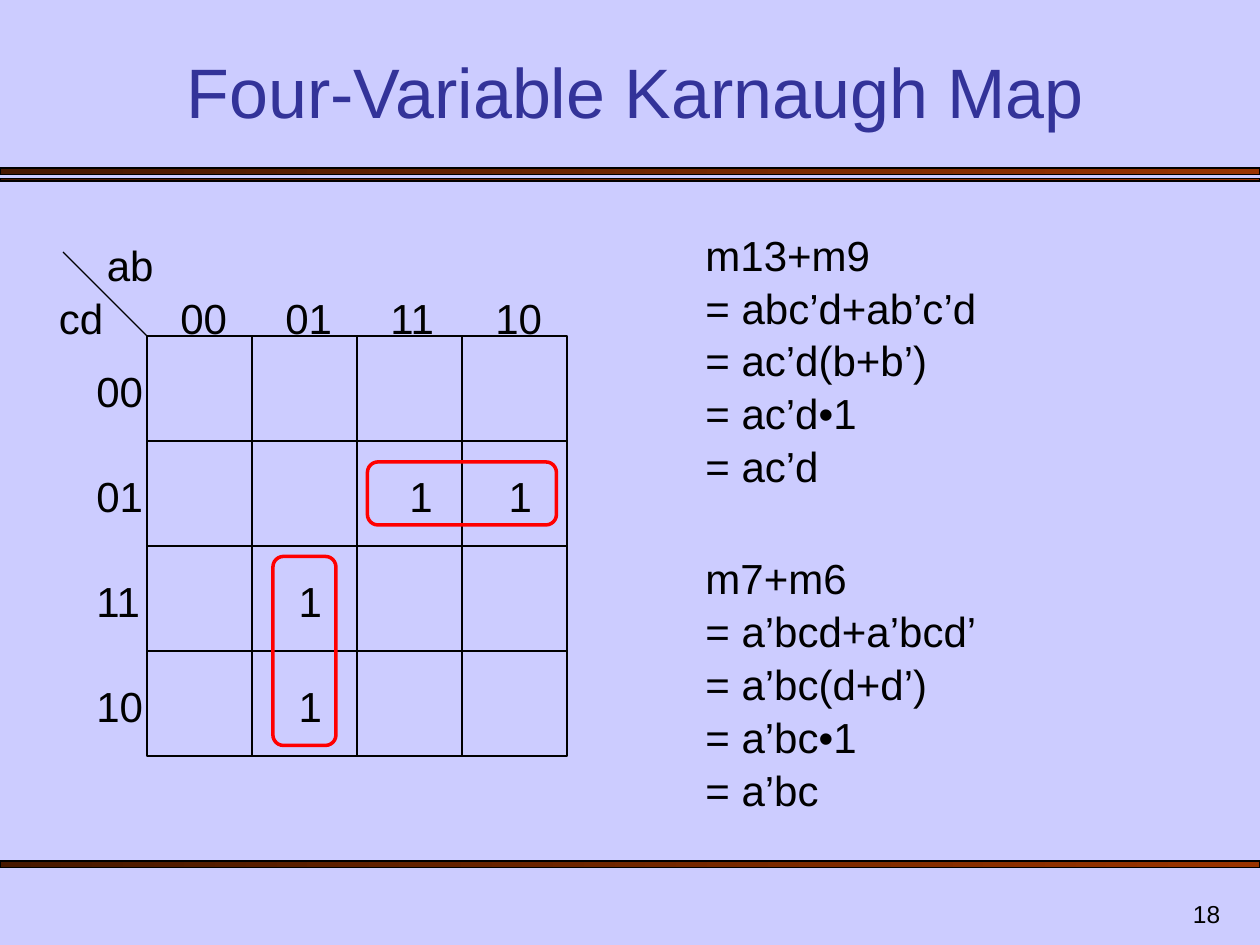
from itertools import product

from lxml.etree import SubElement
from pptx import Presentation
from pptx.dml.color import RGBColor
from pptx.enum.shapes import MSO_CONNECTOR, MSO_SHAPE as Shape
from pptx.enum.text import MSO_ANCHOR as Anchor, PP_ALIGN as Align
from pptx.oxml.ns import qn
from pptx.util import Inches, Pt

COLORS = {"background": "CCCCFF", "title": "333399", "ink": "000000",
          "bar_dark": "471800", "bar_light": "993300", "loop": "FF0000"}
COLUMNS, ROWS = 120, 90  # page grid, twelve steps to the inch
CELL = 10                # grid steps along one side of a map cell
GRAY_CODE = ["00", "01", "11", "10"]
DERIVATIONS = [
    ["m13+m9", "= abc’d+ab’c’d", "= ac’d(b+b’)", "= ac’d•1", "= ac’d"],
    ["m7+m6", "= a’bcd+a’bcd’", "= a’bc(d+d’)", "= a’bc•1", "= a’bc"],
]


def rgb(name):
    return RGBColor.from_string(COLORS[name])


def steps(*counts):
    """Turn grid steps into lengths."""
    return [Inches(count / 12) for count in counts]


def add_text(slide, box, text, size=24, color="ink", align=Align.LEFT,
             anchor=Anchor.TOP, spacing=1.05, indent=0.1):
    frame = slide.shapes.add_textbox(*steps(*box)).text_frame
    frame.text = text
    frame_format = {"word_wrap": True, "vertical_anchor": anchor,
                    "margin_left": Inches(indent)}
    for key, value in frame_format.items():
        setattr(frame, key, value)
    paragraph = frame.paragraphs[0]
    paragraph.alignment, paragraph.line_spacing = align, spacing
    for run in paragraph.runs:
        for key, value in {"name": "Arial", "size": Pt(size)}.items():
            setattr(run.font, key, value)
        run.font.color.rgb = rgb(color)


def add_outline(slide, preset, box, color="ink", width=0.75):
    shape = slide.shapes.add_shape(preset, *steps(*box))
    shape.shadow.inherit = False
    shape.fill.background()
    shape.line.color.rgb = rgb(color)
    shape.line.width = Pt(width)
    return shape


def add_bar(slide, top, height):
    bar = add_outline(slide, Shape.RECTANGLE, (0, top, COLUMNS, height))
    bar.fill.gradient()
    bar.fill.gradient_angle = 0
    for stop, name in zip(bar.fill.gradient_stops, ("bar_dark", "bar_light")):
        stop.color.rgb = rgb(name)


def add_frame(slide, title, number):
    """Background, bars, title and page number."""
    slide.background.fill.solid()
    slide.background.fill.fore_color.rgb = rgb("background")
    for top, height in ((16, 0.6), (17, 0.24), (82, 0.6)):
        add_bar(slide, top, height)
    add_text(slide, (92.4, 84, 25, 5), number, 14, align=Align.RIGHT,
             anchor=Anchor.BOTTOM, spacing=1)
    add_text(slide, (7, 5, 107, 8.2), title, 40, "title", Align.CENTER,
             Anchor.BOTTOM, spacing=1)


def add_axis_labels(slide, left, top):
    """Variable names, their divider and the Gray code along both sides."""
    add_text(slide, (left - 5, top - 10, 8, 6), "ab")
    add_text(slide, (left - 10, top - 5, 7, 6), "cd", align=Align.RIGHT)
    divider = slide.shapes.add_connector(
        MSO_CONNECTOR.STRAIGHT, *steps(left - 8, top - 8, left, top))
    divider.line.color.rgb = rgb("ink")
    divider.line.width = Pt(0.75)
    SubElement(divider.line._get_or_add_ln().getparent(), qn("a:effectLst"))
    for index, code in enumerate(GRAY_CODE):
        offset = index * CELL + 2
        add_text(slide, (left + offset, top - 5, 7.2, 6), code)
        add_text(slide, (left - 6, top + offset, 7.2, 6), code)


def add_karnaugh_map(slide, left, top, ones, loops):
    """ones: (column, row, indent); loops: (column, row, width, height)."""
    for column, row in product(range(len(GRAY_CODE)), repeat=2):
        add_outline(slide, Shape.RECTANGLE,
                    (left + column * CELL, top + row * CELL, CELL, CELL))
    add_axis_labels(slide, left, top)
    for column, row, indent in ones:
        box = (left + column * CELL, top + row * CELL + 2, CELL, 6)
        add_text(slide, box, "1", align=Align.CENTER, indent=indent)
    for column, row, width, height in loops:
        box = (left + column * CELL, top + row * CELL,
               width * CELL, height * CELL)
        loop = add_outline(slide, Shape.ROUNDED_RECTANGLE, box, "loop", 2)
        loop.adjustments[0] = 1 / 6


def add_derivations(slide, left, top, width, height, pitch):
    for index, lines in enumerate(DERIVATIONS):
        add_text(slide, (left, top + index * pitch, width, height),
                 "\v".join(lines))


def main():
    deck = Presentation()
    deck.slide_width, deck.slide_height = steps(COLUMNS, ROWS)
    slide = deck.slides.add_slide(deck.slide_layouts[6])
    add_frame(slide, "Four-Variable Karnaugh Map", "18")
    add_karnaugh_map(
        slide, 14, 32,
        ones=[(2, 1, 0.28), (3, 1, 0.19), (1, 2, 0.19), (1, 3, 0.19)],
        loops=[(1.2, 2.1, 0.6, 1.8), (2.1, 1.2, 1.8, 0.6)])
    add_derivations(slide, 66, 21, 34, 25.2, pitch=30.84)
    deck.save("out.pptx")


if __name__ == "__main__":
    main()
